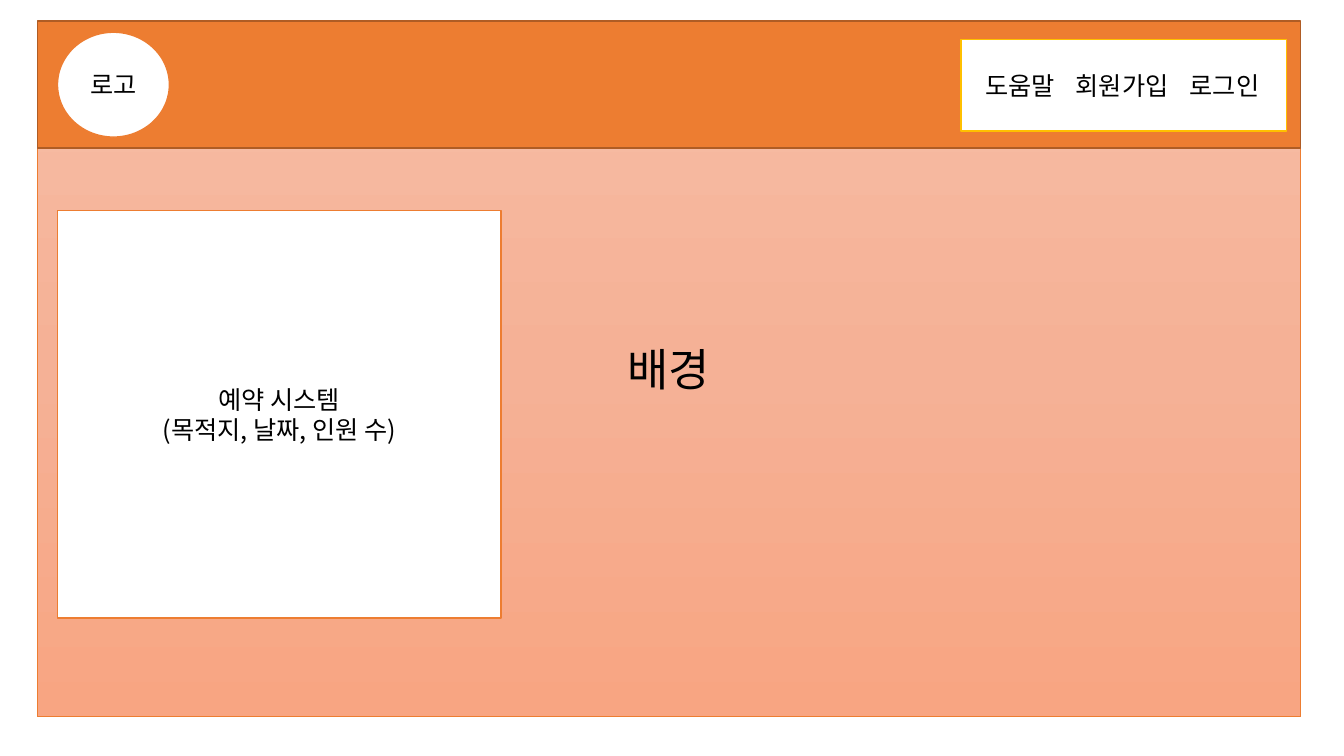
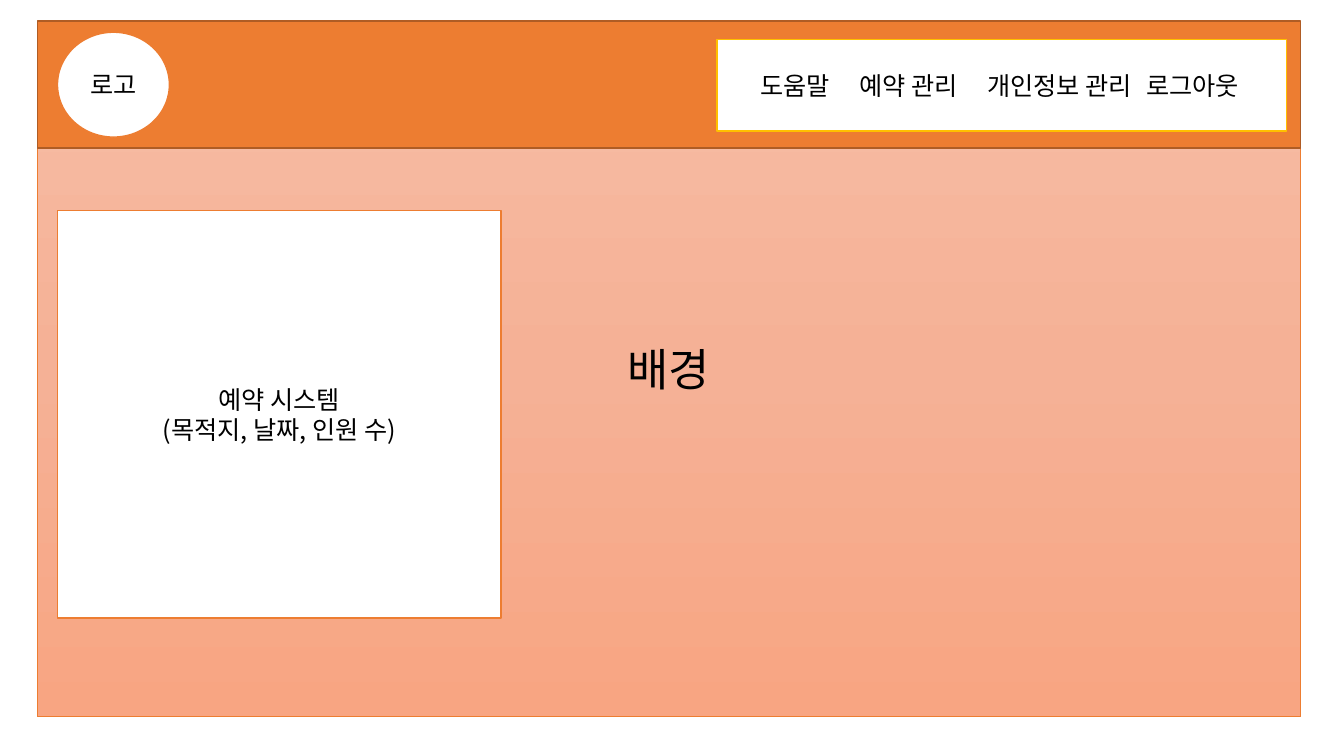
import copy
import dataclasses

import pptx
import pptx.chart.data
import pptx.dml.color
import pptx.enum.shapes
import pptx.enum.text
import pptx.oxml.ns
import pptx.util

Inches = pptx.util.Inches
Pt = pptx.util.Pt
SHAPES = pptx.enum.shapes.MSO_SHAPE
ALIGN = pptx.enum.text.PP_ALIGN


@dataclasses.dataclass(frozen=True)
class Theme:
    """Colours, font and sizes shared by the slides."""

    font: str = "Noto Sans CJK KR"
    text: str = "000000"
    panel: str = "FFFFFF"
    accent: str = "ED7D31"
    header_edge: str = "AF5C24"
    menu_edge: str = "FFC000"
    backdrop: tuple = ("F7BDA5", "F5B196", "F8A582")
    body_size: int = 18
    backdrop_size: int = 32
    edge: float = 1
    thin_edge: float = 0.5


THEME = Theme()
PAGE_LEFT, PAGE_TOP, PAGE_WIDTH = 0.37, 0.21, 12.53
CONTENT_LEFT = 0.57
MENU_RIGHT = 12.76


def rgb(code):
    """Return the colour for a hex code."""
    return pptx.dml.color.RGBColor.from_string(code)


def fill_gradient(shape, colors):
    """Fill a shape from top to bottom with evenly spaced colours."""
    shape.fill.gradient()
    shape.fill.gradient_angle = 270
    stop_list = shape._element.spPr.find(".//" + pptx.oxml.ns.qn("a:gsLst"))
    for _ in colors[2:]:
        stop_list.append(copy.deepcopy(stop_list[-1]))
    for index, (stop, color) in enumerate(zip(shape.fill.gradient_stops, colors)):
        stop.position = index / (len(colors) - 1)
        stop.color.rgb = rgb(color)


def add_block(slide, box, fill, edge, kind=SHAPES.RECTANGLE, weight=THEME.edge):
    """Add an outlined shape with a plain or gradient fill."""
    shape = slide.shapes.add_shape(kind, *map(Inches, box))
    shape.shadow.inherit = False
    if isinstance(fill, tuple):
        fill_gradient(shape, fill)
    else:
        shape.fill.solid()
        shape.fill.fore_color.rgb = rgb(fill)
    shape.line.color.rgb = rgb(edge)
    shape.line.width = Pt(weight)
    return shape


def write_text(shape, *lines, size=THEME.body_size, align=ALIGN.CENTER, tabs=()):
    """Write formatted paragraphs in the middle of a shape."""
    frame = shape.text_frame
    frame.word_wrap = True
    frame.vertical_anchor = pptx.enum.text.MSO_ANCHOR.MIDDLE
    for index, line in enumerate(lines):
        paragraph = frame.add_paragraph() if index else frame.paragraphs[0]
        paragraph.alignment = align
        run = paragraph.add_run()
        run.text = line
        run.font.size = Pt(size)
        run.font.name = THEME.font
        run.font.color.rgb = rgb(THEME.text)
        east_asian = pptx.oxml.parse_xml(
            f'<a:ea {pptx.oxml.ns.nsdecls("a")} typeface="{THEME.font}"/>')
        run.font._element.find(pptx.oxml.ns.qn("a:latin")).addnext(east_asian)
        if tabs:
            stops = "".join(f'<a:tab pos="{Inches(tab)}" algn="l"/>' for tab in tabs)
            paragraph._p.get_or_add_pPr().append(pptx.oxml.parse_xml(
                f'<a:tabLst {pptx.oxml.ns.nsdecls("a")}>{stops}</a:tabLst>'))


def add_menu(slide, width, items):
    """Add the right-hand menu, with each label at its offset from the left edge."""
    labels, offsets = zip(*items)
    menu = add_block(slide, (MENU_RIGHT - width, 0.39, width, 0.91),
                     THEME.panel, THEME.menu_edge)
    menu.text_frame.margin_left = Inches(offsets[0])
    menu.text_frame.margin_right = 0
    write_text(menu, "\t".join(labels), align=ALIGN.LEFT,
               tabs=[offset - offsets[0] for offset in offsets[1:]])


def add_page(deck, menu_width, menu_items):
    """Add one wireframe page with its own menu."""
    slide = deck.slides.add_slide(deck.slide_layouts[6])
    backdrop = add_block(slide, (PAGE_LEFT, PAGE_TOP, PAGE_WIDTH, 6.9),
                         THEME.backdrop, THEME.accent, weight=THEME.thin_edge)
    write_text(backdrop, "배경", size=THEME.backdrop_size)
    add_block(slide, (PAGE_LEFT, PAGE_TOP, PAGE_WIDTH, 1.26),
              THEME.accent, THEME.header_edge)
    badge = add_block(slide, (CONTENT_LEFT, 0.32, 1.11, 1.04),
                      THEME.panel, THEME.accent, kind=SHAPES.OVAL)
    write_text(badge, "로고")
    add_menu(slide, menu_width, menu_items)
    booking = add_block(slide, (CONTENT_LEFT, 2.09, 4.4, 4.04),
                        THEME.panel, THEME.accent)
    write_text(booking, "예약 시스템", "(목적지, 날짜, 인원 수)")


def main():
    """Build and save the deck."""
    deck = pptx.Presentation()
    deck.slide_width, deck.slide_height = Inches(13.33), Inches(7.5)
    add_page(deck, 3.23, [("도움말", 0.24), ("회원가입", 1.14), ("로그인", 2.27)])
    add_page(deck, 5.65, [("도움말", 0.43), ("예약 관리", 1.41),
                          ("개인정보 관리", 2.68), ("로그아웃", 4.26)])
    deck.save("out.pptx")


if __name__ == "__main__":
    main()
